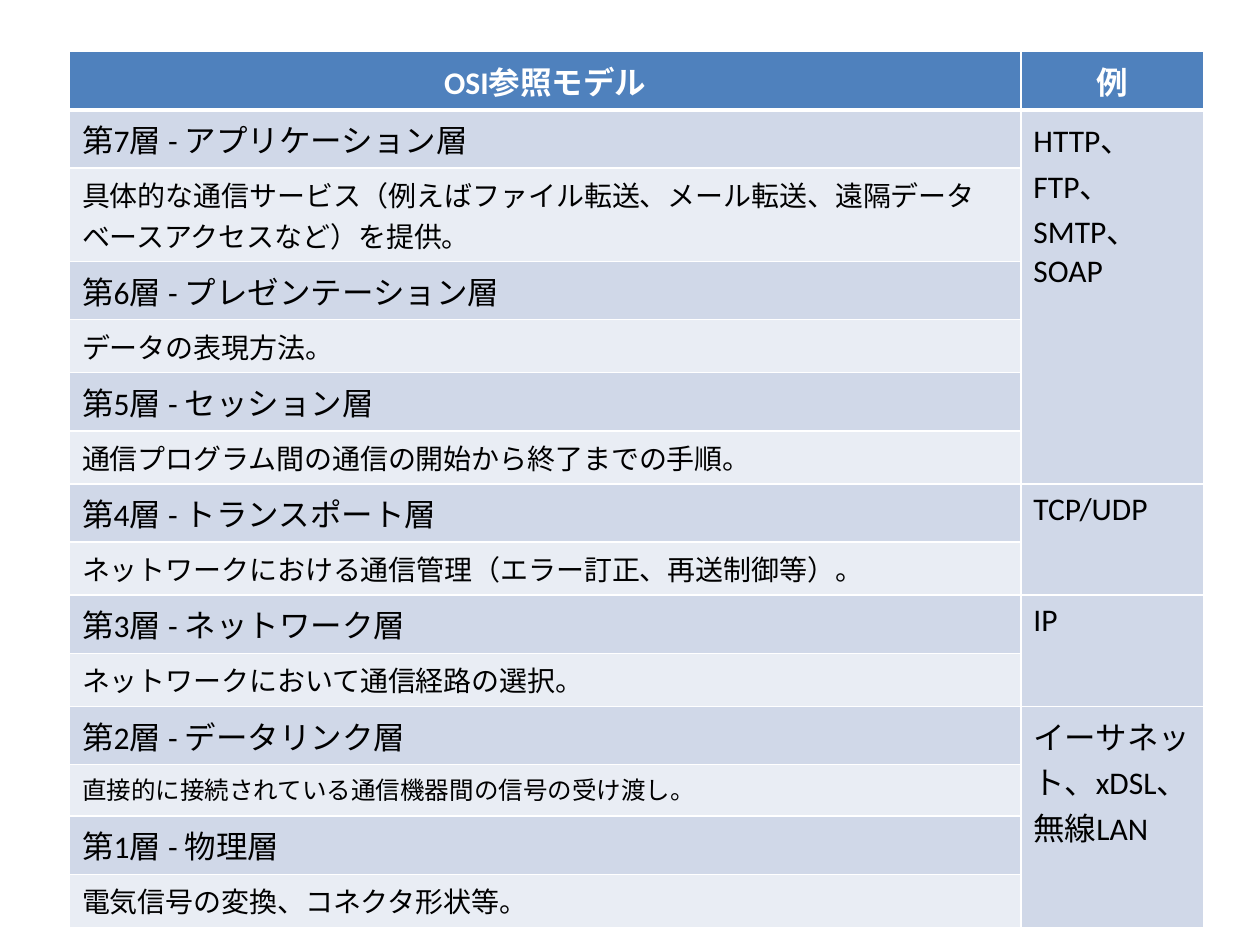
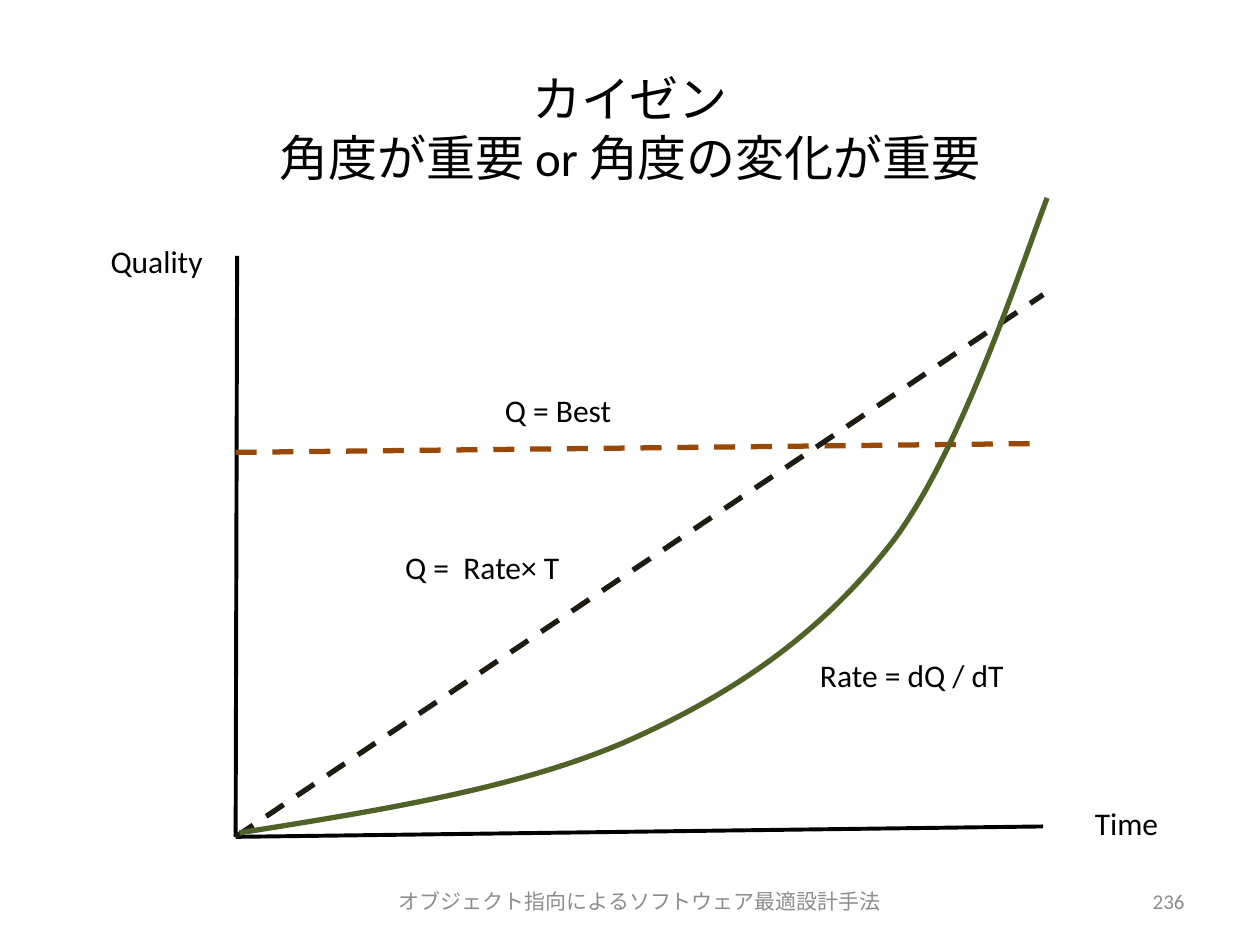
import lxml.etree
import pptx
import pptx.dml.color
import pptx.enum.dml
import pptx.enum.lang
import pptx.enum.text
import pptx.oxml.ns
import pptx.util

Cm, Pt, qn = pptx.util.Cm, pptx.util.Pt, pptx.oxml.ns.qn
ALIGN = pptx.enum.text.PP_ALIGN
MIDDLE = pptx.enum.text.MSO_ANCHOR.MIDDLE

FONT = "Calibri"
BLACK, WHITE, GREY = "000000", "FFFFFF", "8C8C8C"
HEADER_FILL, LAYER_FILL, DETAIL_FILL = "4F81BD", "D0D8E8", "E9EDF4"
BEST_BROWN, LINEAR_DARK, RATE_GREEN = "984807", "1E1C11", "4F6228"

LAYERS = [
    ("第7層 - アプリケーション層",
     "具体的な通信サービス（例えばファイル転送、メール転送、遠隔データベースアクセスなど）を提供。", 16),
    ("第6層 - プレゼンテーション層", "データの表現方法。", 16),
    ("第5層 - セッション層", "通信プログラム間の通信の開始から終了までの手順。", 16),
    ("第4層 - トランスポート層", "ネットワークにおける通信管理（エラー訂正、再送制御等）。", 16),
    ("第3層 - ネットワーク層", "ネットワークにおいて通信経路の選択。", 16),
    ("第2層 - データリンク層", "直接的に接続されている通信機器間の信号の受け渡し。", 14),
    ("第1層 - 物理層", "電気信号の変換、コネクタ形状等。", 16),
]
EXAMPLES = [
    ("HTTP、FTP、SMTP、SOAP", 3),
    ("TCP/UDP", 1),
    ("IP", 1),
    ("イーサネット、xDSL、無線LAN", 2),
]


def rgb(code):
    """Turn a hex string into a colour."""
    return pptx.dml.color.RGBColor.from_string(code)


def write(frame, text, size=18, color=BLACK, bold=False, align=ALIGN.LEFT):
    """Fill a text frame with one formatted paragraph; a newline is a line break."""
    frame.text = text.replace("\n", "\v")
    paragraph = frame.paragraphs[0]
    paragraph.alignment = align
    for run in paragraph.runs:
        run.font.name = FONT
        run.font.size = Pt(size)
        run.font.bold = bold
        run.font.color.rgb = rgb(color)
        run.font.language_id = pptx.enum.lang.MSO_LANGUAGE_ID.JAPANESE
    for line_break in paragraph._p.findall(qn("a:br")):
        lxml.etree.SubElement(line_break, qn("a:rPr"), sz=str(size * 100))


class Deck:
    """Holds the presentation, its style and the current slide."""

    def __init__(self):
        """Start an empty 4:3 presentation."""
        self.show = pptx.Presentation()
        self.show.slide_width, self.show.slide_height = Cm(25.4), Cm(19.05)
        self.slide = None

    def add_slide(self, title=None):
        """Begin a slide, with a heading when one is given."""
        layout = self.show.slide_layouts[5 if title else 6]
        self.slide = self.show.slides.add_slide(layout)
        if title:
            heading = self.slide.shapes.title
            heading.left, heading.top = Cm(1.27), Cm(0.76)
            heading.width, heading.height = Cm(22.86), Cm(3.61)
            heading.text_frame.vertical_anchor = MIDDLE
            write(heading.text_frame, title, size=28, align=ALIGN.CENTER)

    def text(self, text, left, top, width, wrap=False, anchor=None, **style):
        """Add a one-line text box."""
        box = self.slide.shapes.add_textbox(Cm(left), Cm(top), Cm(width), Cm(1.02))
        frame = box.text_frame
        frame.word_wrap = wrap
        if anchor is None:
            frame.auto_size = pptx.enum.text.MSO_AUTO_SIZE.SHAPE_TO_FIT_TEXT
        else:
            frame.vertical_anchor = anchor
        write(frame, text, **style)

    def footer(self, number):
        """Add the running footer and the page number."""
        small = dict(wrap=True, anchor=MIDDLE, size=12, color=GREY)
        self.text("オブジェクト指向によるソフトウェア最適設計手法", 4.37, 17.65, 17.07,
                  align=ALIGN.CENTER, **small)
        self.text(number, 22.02, 17.65, 2.11, align=ALIGN.RIGHT, **small)

    def line(self, start, end, color=BLACK, width=2.25, dashed=False):
        """Draw a straight line between two points."""
        line = self.slide.shapes.add_connector(1, *map(Cm, start + end))
        line.line.color.rgb = rgb(color)
        line.line.width = Pt(width)
        if dashed:
            line.line.dash_style = pptx.enum.dml.MSO_LINE.DASH
        lxml.etree.SubElement(line._element.spPr, qn("a:effectLst"))

    def curve(self, points, color, width):
        """Draw cubic curves through a start and groups of three points."""
        start, *controls = [(Cm(x), Cm(y)) for x, y in points]
        builder = self.slide.shapes.build_freeform(*start)
        builder.add_line_segments(controls, close=False)
        shape = builder.convert_to_shape()
        shape.shadow.inherit = False
        shape.fill.background()
        shape.line.color.rgb = rgb(color)
        shape.line.width = Pt(width)
        segments = list(shape._element.iter(qn("a:lnTo")))
        for first in range(0, len(segments), 3):
            bezier = lxml.etree.Element(qn("a:cubicBezTo"))
            segments[first].addprevious(bezier)
            for segment in segments[first:first + 3]:
                bezier.append(segment[0])
                segment.getparent().remove(segment)

    def table(self, rows, left, top, widths, row_height):
        """Add an unfilled table with set column widths."""
        frame = self.slide.shapes.add_table(
            rows, len(widths), Cm(left), Cm(top), Cm(sum(widths)), Cm(row_height * rows))
        for column, width in zip(frame.table.columns, widths):
            column.width = Cm(width)
        return frame.table

    def cell(self, cell, text, fill, bottom=1, **style):
        """Write, border and fill one table cell."""
        write(cell.text_frame, text, **style)
        properties = cell._tc.get_or_add_tcPr()
        for side, width in (("L", 1), ("R", 1), ("T", 1), ("B", bottom)):
            border = lxml.etree.SubElement(properties, qn(f"a:ln{side}"), w=str(Pt(width)))
            solid = lxml.etree.SubElement(border, qn("a:solidFill"))
            lxml.etree.SubElement(solid, qn("a:srgbClr"), val=WHITE)
        cell.fill.solid()
        cell.fill.fore_color.rgb = rgb(fill)


def osi_slide(deck):
    """Build the table of OSI layers."""
    deck.add_slide()
    osi = deck.table(1 + 2 * len(LAYERS), 1.4, 1.04, (19.18, 3.68), 1.04)
    for column, heading in enumerate(("OSI参照モデル", "例")):
        deck.cell(osi.cell(0, column), heading, HEADER_FILL, bottom=3,
                  color=WHITE, bold=True, align=ALIGN.CENTER)
    for index, (layer, detail, size) in enumerate(LAYERS):
        row = 1 + 2 * index
        deck.cell(osi.cell(row, 0), layer, LAYER_FILL)
        deck.cell(osi.cell(row + 1, 0), detail, DETAIL_FILL, size=size)
    row = 1
    for example, layers in EXAMPLES:
        last = row + 2 * layers - 1
        osi.cell(row, 1).merge(osi.cell(last, 1))
        deck.cell(osi.cell(row, 1), example, LAYER_FILL)
        row = last + 1


def kaizen_slide(deck):
    """Build the diagram of quality over time."""
    deck.add_slide("カイゼン\n角度が重要 or 角度の変化が重要")
    deck.footer("236")
    origin, end = (4.75, 16.87), 21.03
    deck.line((4.78, 5.16), origin)
    deck.line(origin, (end, 16.66))
    deck.line((4.75, 9.12), (end, 8.94), BEST_BROWN, 3, dashed=True)
    deck.line(origin, (end, 5.94), LINEAR_DARK, 3, dashed=True)
    deck.curve([(4.83, 16.79),
                (7.7, 16.33), (10.57, 15.88), (12.78, 14.88),
                (14.96, 13.89), (16.61, 12.7), (18.01, 10.9),
                (19.38, 9.07), (20.57, 5.41), (21.11, 3.99)], RATE_GREEN, 3)
    deck.text("Time", 21.82, 16.08, 1.8)
    deck.text("Quality", 1.98, 4.75, 2.39)
    deck.text("Q = Best", 9.93, 7.75, 2.69)
    deck.text("Q =  Rate× T", 7.92, 10.92, 3.99)
    deck.text("Rate = dQ / dT", 16.28, 13.11, 4.32, wrap=True)


def main():
    """Build both slides and save them."""
    deck = Deck()
    osi_slide(deck)
    kaizen_slide(deck)
    deck.show.save("out.pptx")


if __name__ == "__main__":
    main()
